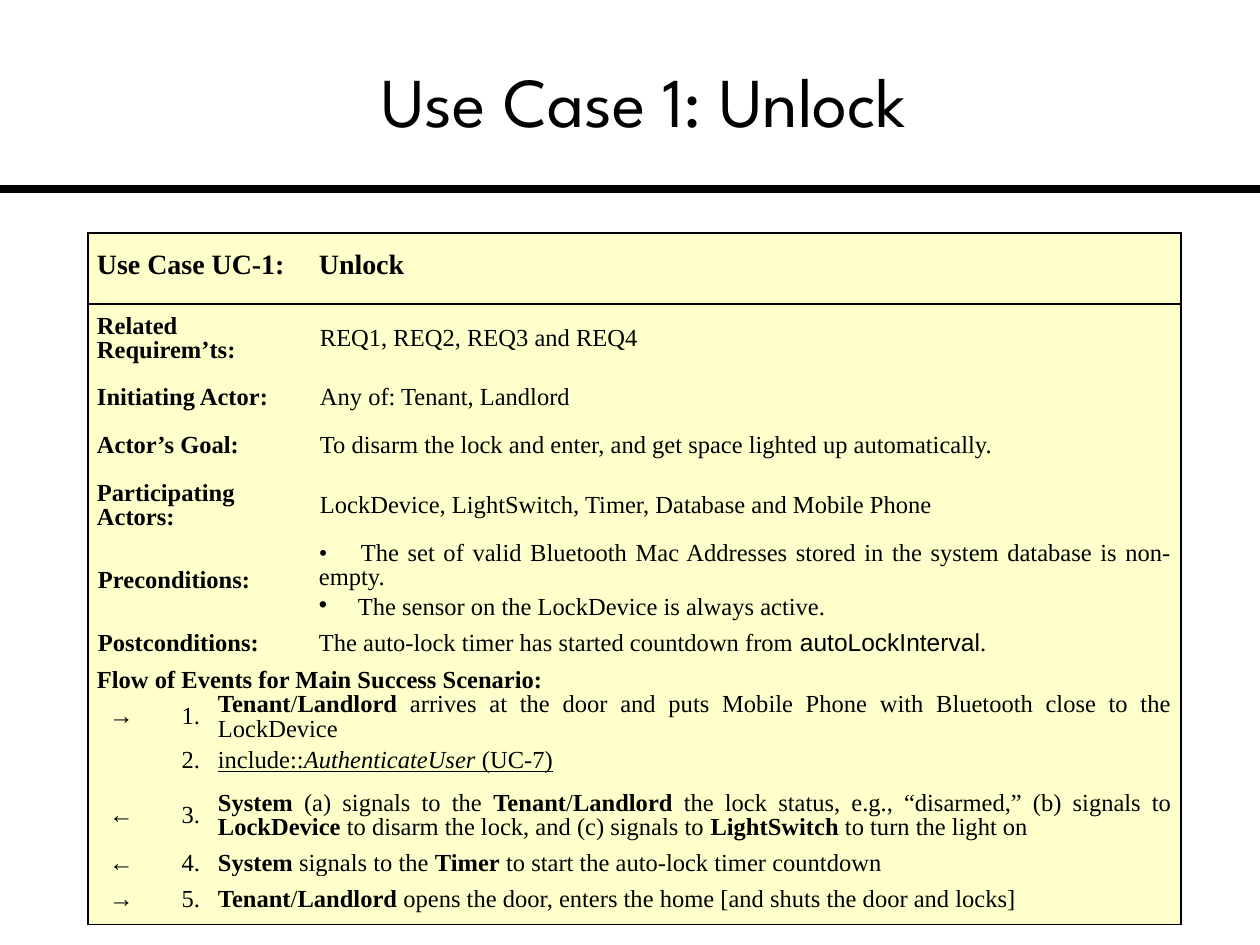
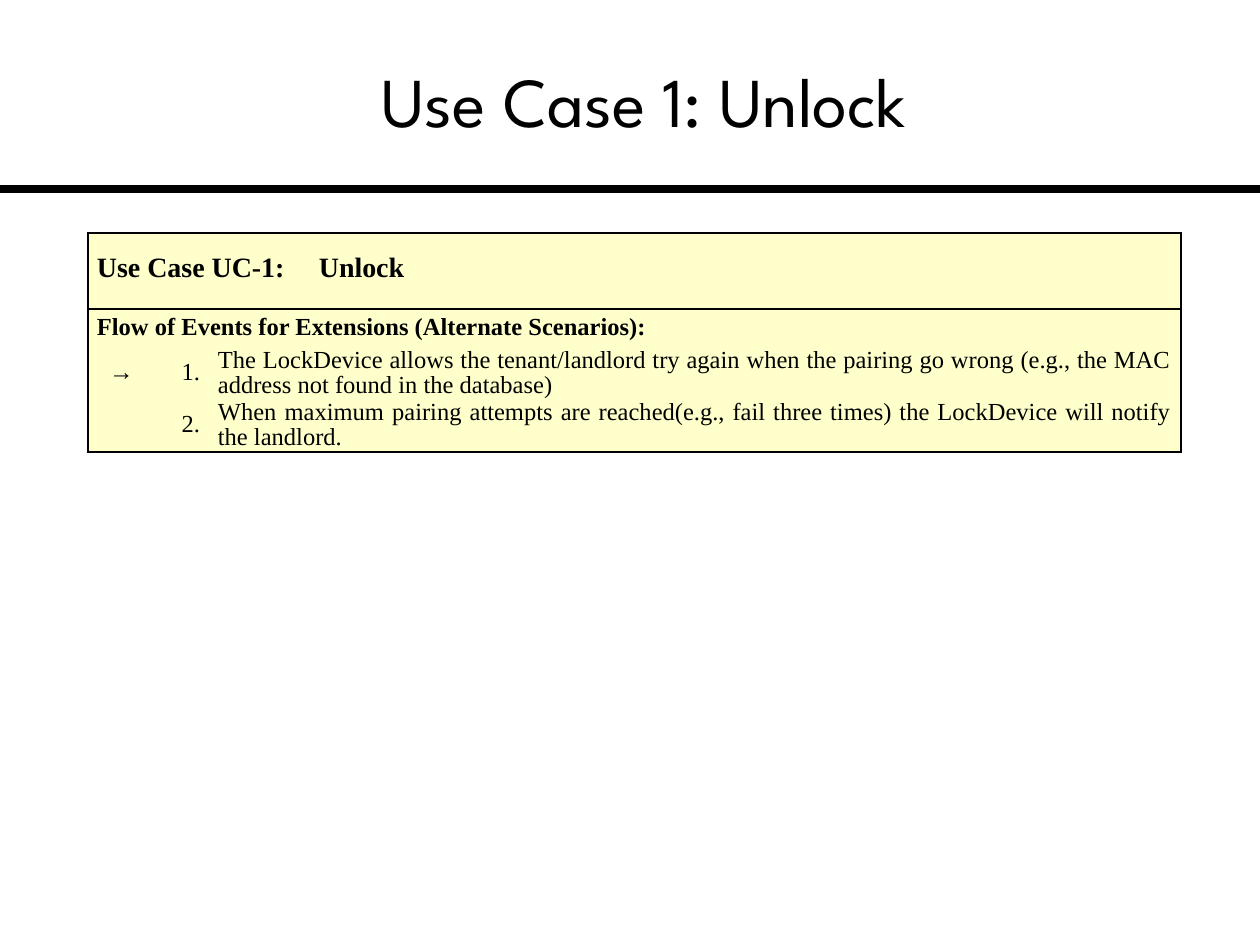
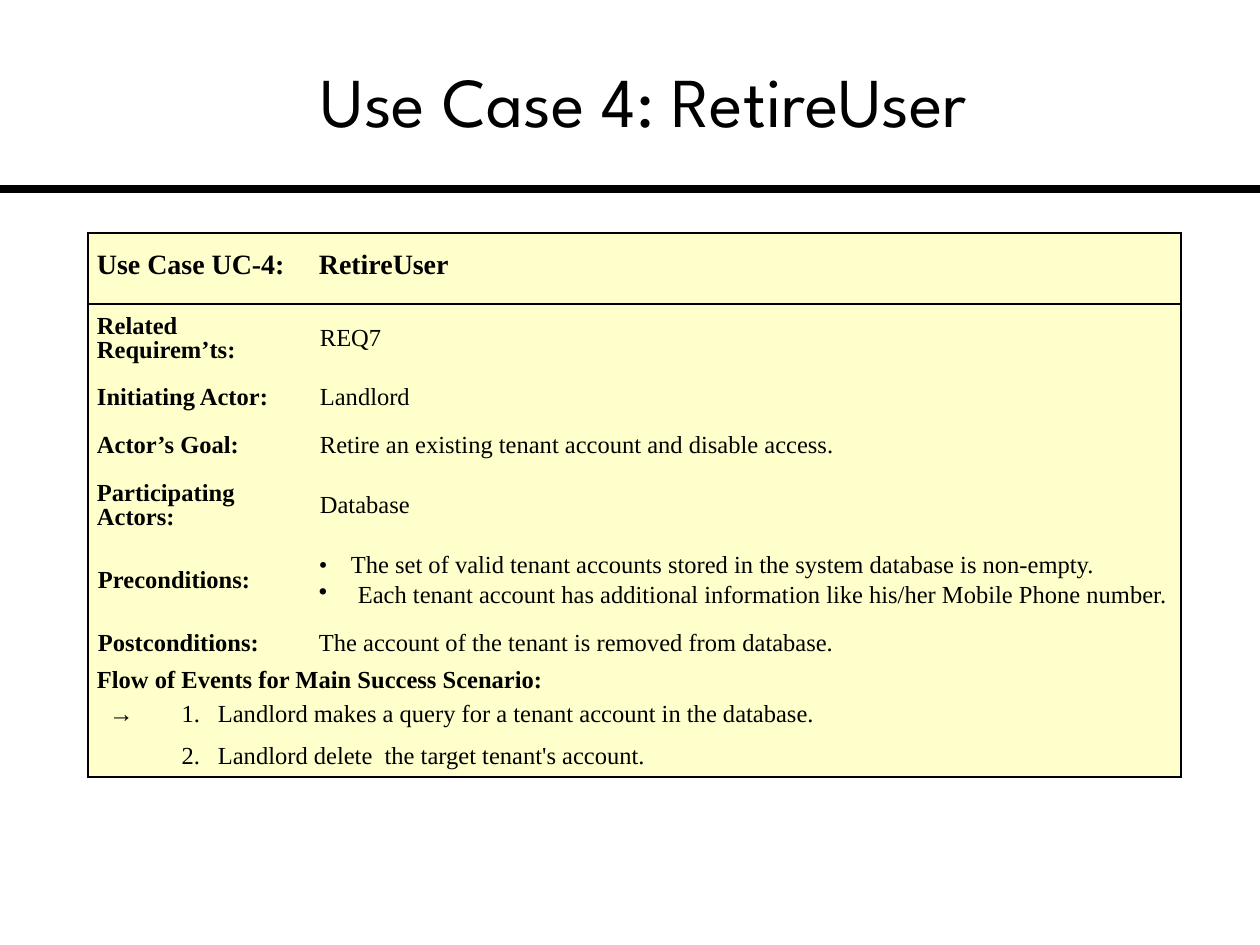
"""Build three use-case slides, each with a ruled title and a specification table."""
from dataclasses import dataclass

from lxml.etree import SubElement
from pptx import Presentation
from pptx.dml.color import RGBColor
from pptx.enum.shapes import MSO_CONNECTOR
from pptx.enum.text import MSO_ANCHOR as Anchor, MSO_AUTO_SIZE as AutoSize, PP_ALIGN as Align
from pptx.oxml.ns import qn
from pptx.util import Emu, Pt

EMU_PER_PIXEL = 914400 / 126
SLIDE_WIDTH, SLIDE_HEIGHT = 1260, 945
RULE_TOP = 189
TITLE_BOX = {"left": 53, "top": 21, "width": 1182, "height": 158}
TITLE_INSETS = {"margin_left": 0, "margin_right": 0, "margin_top": 6, "margin_bottom": 6}
TABLE_LEFT, TABLE_TOP = 88, 233
COLUMNS = (67, 54, 101, 871)
HANGING = 39
COLORS = {"ink": "000000", "paper": "FFFFFF", "card": "FFFFCC"}
FONTS = {"title": "League Spartan", "card": "Times New Roman", "code": "Arial"}
STYLES = {
    "plain": {"bold": False},
    "bold": {"bold": True},
    "code": {"bold": False, "name": FONTS["code"]},
    "link": {"bold": False, "underline": True},
    "case": {"bold": False, "underline": True, "italic": True},
}


@dataclass(frozen=True)
class Run:
    text: str
    style: str = "plain"


@dataclass(frozen=True)
class Line:
    runs: tuple[Run, ...]
    tab: int = 0
    bullet: bool = False


@dataclass(frozen=True)
class Block:
    lines: tuple[Line, ...]
    span: int = 1
    align: Align = Align.JUSTIFY
    size: int = 14
    before: int = 0
    insets: tuple[int, int] = (9, 9)


@dataclass(frozen=True)
class Row:
    height: int
    blocks: tuple[Block, ...]


@dataclass(frozen=True)
class UseCase:
    title: str
    rows: tuple[Row, ...]


def px(pixels: float) -> Emu:
    """Turn pixels into EMU."""
    return Emu(round(pixels * EMU_PER_PIXEL))


def color(name: str) -> RGBColor:
    """Look up a named colour."""
    return RGBColor.from_string(COLORS[name])


def apply(target, values: dict) -> None:
    """Set every attribute named in the dict."""
    for name, value in values.items():
        setattr(target, name, value)


def marked(text: str, tab: int = 0, bullet: bool = False) -> Line:
    """Make a line in which words between asterisks are bold."""
    parts = enumerate(text.split("*"))
    runs = tuple(Run(part, "bold" if i % 2 else "plain") for i, part in parts if part)
    return Line(runs, tab, bullet)


def header(height: int, label: str, name: str) -> Row:
    """Make the top row with the number and name of the use case."""
    look = {"align": Align.LEFT, "size": 16, "before": 6}
    return Row(height, (Block((marked(f"*{label}*"),), 3, **look),
                        Block((marked(f"*{name}*"),), **look)))


def field(height: int, label: str, *values: Line, condition: bool = False) -> Row:
    """Make a row with a bold label and its value."""
    label_insets, value_insets = ((10, 3), (9, 9)) if condition else ((9, 9), (10, 5))
    return Row(height, (Block((marked(f"*{label}*"),), 3, before=3, insets=label_insets),
                        Block(values, before=3, insets=value_insets)))


def flow(height: int, text: str) -> Row:
    """Make a full-width heading row for a flow of events."""
    return Row(height, (Block((marked(f"*{text}*"),), 4, before=4),))


def step(height: int, number: int, arrow: str, action: Line) -> Row:
    """Make a numbered step with its direction arrow."""
    return Row(height, (Block((marked(arrow),), align=Align.CENTER),
                        Block((marked(f"{number}."),), align=Align.RIGHT),
                        Block((action,), 2)))


def summary(number: int, name: str, requirements: str, initiator: str, goal: str,
            participants: str, preconditions: tuple[Line, ...],
            postcondition: Line) -> tuple[Row, ...]:
    """Make the rows that open a full use case."""
    return (
        header(71, f"Use Case UC-{number}:", name),
        field(71, "Related Requirem’ts:", marked(requirements)),
        field(48, "Initiating Actor:", marked(initiator)),
        field(48, "Actor’s Goal:", marked(goal)),
        field(71, "Participating Actors:", marked(participants)),
        field(79, "Preconditions:", *preconditions, condition=True),
        field(48, "Postconditions:", postcondition, condition=True),
        flow(24, "Flow of Events for Main Success Scenario:"),
    )


UNLOCK = UseCase("Use Case 1: Unlock", summary(
    1, "Unlock", "REQ1, REQ2, REQ3 and REQ4", "Any of: Tenant, Landlord",
    "To disarm the lock and enter, and get space lighted up automatically.",
    "LockDevice, LightSwitch, Timer, Database and Mobile Phone",
    (marked("•\tThe set of valid Bluetooth Mac Addresses stored in the system "
            "database is non-empty.", tab=42),
     marked("The sensor on the LockDevice is always active.", bullet=True)),
    Line((Run("The auto-lock timer has started countdown from "),
          Run("autoLockInterval", "code"), Run("."))),
) + (
    step(24, 1, "→", marked("*Tenant*/*Landlord* arrives at the door and puts Mobile Phone "
                            "with Bluetooth close to the LockDevice")),
    step(24, 2, "", Line((Run("include::", "link"), Run("AuthenticateUser", "case"),
                          Run(" (UC-7)", "link")))),
    step(71, 3, "←", marked("*System* (a) signals to the *Tenant*/*Landlord* the lock status, "
                            "e.g., “disarmed,” (b) signals to *LockDevice* to disarm the lock, "
                            "and (c) signals to *LightSwitch* to turn the light on")),
    step(24, 4, "←", marked("*System* signals to the *Timer* to start the auto-lock "
                            "timer countdown")),
    step(48, 5, "→", marked("*Tenant*/*Landlord* opens the door, enters the home "
                            "[and shuts the door and locks]")),
))

UNLOCK_EXTENSIONS = UseCase(UNLOCK.title, (
    header(76, "Use Case UC-1:", "Unlock"),
    flow(39, "Flow of Events for Extensions (Alternate Scenarios):"),
    step(52, 1, "→", marked("The LockDevice allows the tenant/landlord try again when the pairing "
                            "go wrong (e.g., the MAC address not found in the database)")),
    step(52, 2, "", marked("When maximum pairing attempts are reached(e.g., fail three times) "
                           "the LockDevice will notify the landlord.")),
))

RETIRE_USER = UseCase("Use Case 4: RetireUser", summary(
    4, "RetireUser", "REQ7", "Landlord",
    "Retire an existing tenant account and disable access.", "Database",
    (marked("•\tThe set of valid tenant accounts stored in the system database "
            "is non-empty.", tab=32),
     marked("Each tenant account has additional information like his/her "
            "Mobile Phone number.", bullet=True)),
    marked("The account of the tenant is removed from database."),
) + (
    step(45, 1, "→", marked("Landlord makes a query for a tenant account in the database.")),
    step(24, 2, "", marked("Landlord delete  the target tenant's account.")),
))


def draw_title(slide, text: str) -> None:
    """Place and format the slide title."""
    title = slide.shapes.title
    apply(title, {side: px(value) for side, value in TITLE_BOX.items()})
    frame = title.text_frame
    apply(frame, {side: px(value) for side, value in TITLE_INSETS.items()})
    apply(frame, {"text": text, "word_wrap": True, "auto_size": AutoSize.NONE,
                  "vertical_anchor": Anchor.MIDDLE})
    paragraph = frame.paragraphs[0]
    paragraph.alignment = Align.CENTER
    font = paragraph.runs[0].font
    apply(font, {"name": FONTS["title"], "size": Pt(40)})
    font.color.rgb = color("ink")


def draw_rule(slide) -> None:
    """Draw the heavy rule under the title."""
    rule = slide.shapes.add_connector(MSO_CONNECTOR.STRAIGHT, 0, px(RULE_TOP),
                                      px(SLIDE_WIDTH), px(RULE_TOP))
    rule.line.width = Pt(4.5)
    rule.line.color.rgb = color("ink")
    SubElement(rule.element.spPr, qn("a:effectLst"))


def style_cell(cell, edges: dict[str, bool]) -> None:
    """Set the borders, fill and line height of a cell."""
    properties = cell._tc.get_or_add_tcPr()
    for edge, shown in edges.items():
        border = SubElement(properties, qn(f"a:{edge}"), w=str(Pt(1)))
        if shown:
            fill = SubElement(border, qn("a:solidFill"))
            SubElement(fill, qn("a:srgbClr"), val=COLORS["ink"])
        else:
            SubElement(border, qn("a:noFill"))
    cell.fill.solid()
    cell.fill.fore_color.rgb = color("card")
    cell.text_frame.paragraphs[0].line_spacing = Pt(14)
    apply(cell, {"margin_top": 0, "margin_bottom": 0, "vertical_anchor": Anchor.MIDDLE})


def write_line(paragraph, line: Line, block: Block) -> None:
    """Write one formatted paragraph."""
    apply(paragraph, {"alignment": block.align, "line_spacing": Pt(14),
                      "space_before": Pt(block.before)})
    properties = paragraph._p.get_or_add_pPr()
    if line.bullet:
        properties.set("marL", str(px(HANGING)))
        properties.set("indent", str(-px(HANGING)))
        SubElement(properties, qn("a:buChar"), char="•")
    if line.tab:
        stops = SubElement(properties, qn("a:tabLst"))
        SubElement(stops, qn("a:tab"), pos=str(px(line.tab)), algn="l")
    for part in line.runs:
        run = paragraph.add_run()
        run.text = part.text
        apply(run.font, {"name": FONTS["card"], "size": Pt(block.size)} | STYLES[part.style])
        run.font.color.rgb = color("ink")


def write_block(cell, block: Block) -> None:
    """Write the lines of a block into its cell."""
    left, right = block.insets
    apply(cell, {"margin_left": px(left), "margin_right": px(right)})
    frame = cell.text_frame
    for index, line in enumerate(block.lines):
        write_line(frame.add_paragraph() if index else frame.paragraphs[0], line, block)


def draw_card(slide, rows: tuple[Row, ...]) -> None:
    """Draw the use-case table."""
    height = sum(row.height for row in rows)
    table = slide.shapes.add_table(len(rows), len(COLUMNS), px(TABLE_LEFT), px(TABLE_TOP),
                                   px(sum(COLUMNS)), px(height)).table
    apply(table, {"first_row": False, "horz_banding": False})
    for column, width in zip(table.columns, COLUMNS):
        column.width = px(width)
    for r, row in enumerate(rows):
        table.rows[r].height = px(row.height)
        start = 0
        for block in row.blocks:
            end = start + block.span
            for c in range(start, end):
                style_cell(table.cell(r, c), {
                    "lnL": c == 0,
                    "lnR": end == len(COLUMNS) and c in (start, end - 1),
                    "lnT": r in (0, 1),
                    "lnB": r in (0, len(rows) - 1),
                })
            cell = table.cell(r, start)
            if block.span > 1:
                cell.merge(table.cell(r, end - 1))
            write_block(cell, block)
            start = end


def main() -> None:
    """Build and save the deck."""
    deck = Presentation()
    apply(deck, {"slide_width": px(SLIDE_WIDTH), "slide_height": px(SLIDE_HEIGHT)})
    background = deck.slide_master.background.fill
    background.solid()
    background.fore_color.rgb = color("paper")
    for use_case in (UNLOCK, UNLOCK_EXTENSIONS, RETIRE_USER):
        slide = deck.slides.add_slide(deck.slide_layouts[5])
        draw_rule(slide)
        draw_title(slide, use_case.title)
        draw_card(slide, use_case.rows)
    deck.save("out.pptx")


main()
